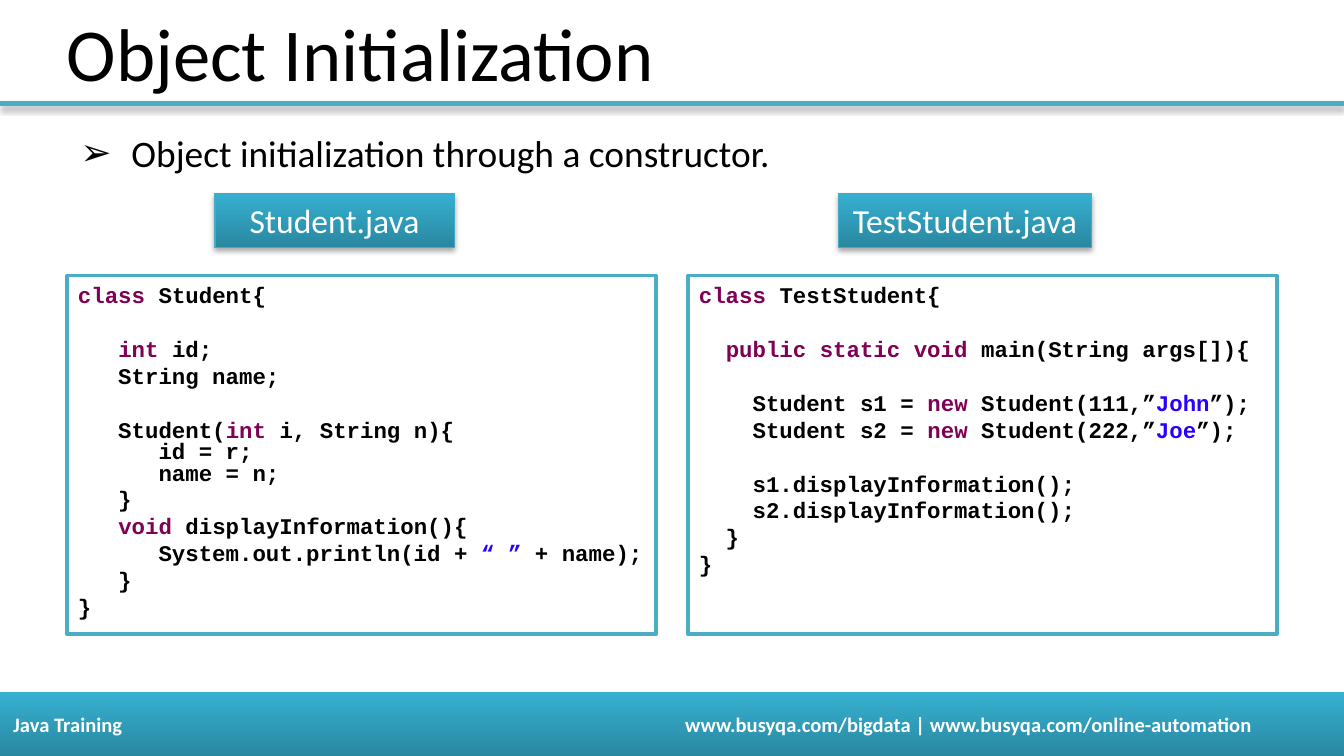
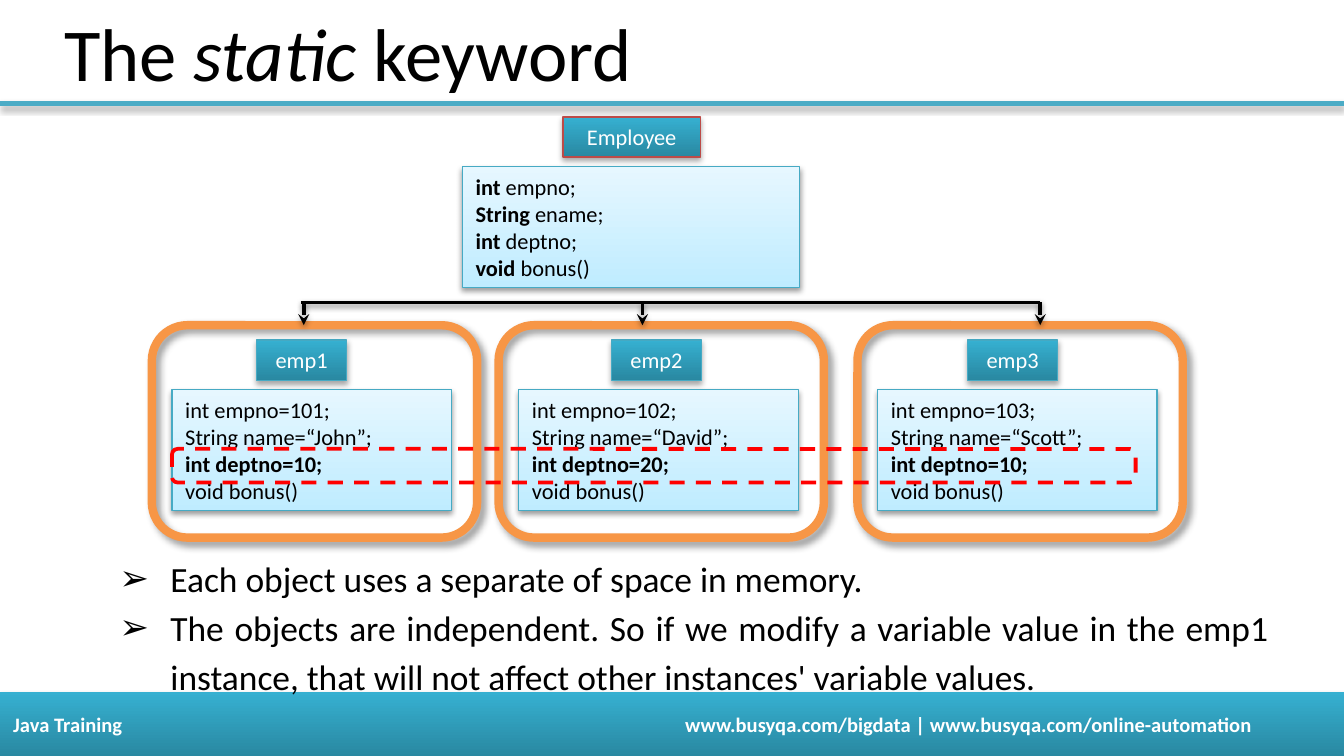
import pptx
import pptx.util
import pptx.dml.color
import pptx.enum.dml
import pptx.enum.shapes
import pptx.enum.text
import pptx.oxml
import pptx.oxml.ns

Inches, Pt = pptx.util.Inches, pptx.util.Pt
SHAPE = pptx.enum.shapes.MSO_SHAPE
STRAIGHT = pptx.enum.shapes.MSO_CONNECTOR.STRAIGHT
ANCHOR = pptx.enum.text.MSO_ANCHOR
ALIGN = pptx.enum.text.PP_ALIGN

# Shared look
SIZE = (10, 10 * 9 / 16)
TEAL, EDGE, BLACK, WHITE = "4BACC6", "46AAC4", "000000", "FFFFFF"
TEAL_GRADIENT = ("2988A1", "36B0D1")
PALE_GRADIENT = ("BFECFF", "E6F7FF")
# Opacity %, blur, distance, direction
SOFT, CARD, FRAME = (35, 3.1, 1.8, 90), (38, 3.1, 1.6, 90), (40, 4, 3, 45)
# A mark switches its format on and off inside a line of text
MARKS = {
    "~": {"color": "7F0055"},
    "^": {"color": "2A00FF"},
    "*": {"bold": True},
    "_": {"italic": True},
}
FOOTER = "Java Training\twww.busyqa.com/bigdata | www.busyqa.com/online-automation"

# Slide 1 content: code in groups, one blank line apart
CODE_TOP, CODE_SIZE = 2.05, (4.38, 2.67)
BLANK_LINE = 14.5
TIGHT = ("      id = r;", "      name = n;")
CLASSES = [
    {
        "file": "Student.java", "label": (1.6, 1.44, 1.78, 0.4), "left": 0.5,
        "code": [
            ["~class~ Student{"],
            ["   ~int~ id;", "   String name;"],
            ["   Student(~int~ i, String n){", *TIGHT, "   }",
             "   ~void~ displayInformation(){",
             "      System.out.println(id + ^“ ”^ + name);", "   }", "}"],
        ],
    },
    {
        "file": "TestStudent.java", "label": (6.24, 1.44, 1.88, 0.4), "left": 5.12,
        "code": [
            ["~class~ TestStudent{"],
            ["  ~public static void~ main(String args[]){"],
            ["    Student s1 = ~new~ Student(111,”^John^”);",
             "    Student s2 = ~new~ Student(222,”^Joe^”);"],
            ["    s1.displayInformation();", "    s2.displayInformation();", "  }", "}"],
        ],
    },
]

# Slide 2 content
EMPLOYEE = ["*int* empno;", "*String* ename;", "*int* deptno;", "*void* bonus()"]
# Name, number, first name, department, left of frame, left of label, arrow x
OBJECTS = [
    ("emp1", 101, "John", 10, 1.13, 1.91, 2.26),
    ("emp2", 102, "David", 20, 3.71, 4.55, 4.78),
    ("emp3", 103, "Scott", 10, 6.38, 7.2, 7.74),
]
BAR_Y, FRAME_TOP = 2.25, 2.42
NOTES = [
    "Each object uses a separate of space in memory.",
    "The objects are independent. So if we modify a variable value in the emp1 "
    "instance, that will not affect other instances' variable values.",
]


def rgb(value):
    return pptx.dml.color.RGBColor.from_string(value)


def add_xml(parent, xml):
    """Append every element of an XML fragment."""
    wrapper = pptx.oxml.parse_xml(f'<a:wrap {pptx.oxml.ns.nsdecls("a")}>{xml}</a:wrap>')
    for el in list(wrapper):
        parent.append(el)


def add_shadow(s, shadow):
    alpha, blur, dist, angle = shadow
    add_xml(s._element.spPr,
            f'<a:effectLst><a:outerShdw blurRad="{Pt(blur)}" dist="{Pt(dist)}" '
            f'dir="{angle * 60000}" rotWithShape="0"><a:srgbClr val="{BLACK}">'
            f'<a:alpha val="{alpha * 1000}"/></a:srgbClr></a:outerShdw></a:effectLst>')


def add_runs(p, text, size, font, color, bold):
    """Split the text at its marks and add one run for each piece."""
    pieces, active = [["", {}]], set()
    for ch in text:
        if ch in MARKS:
            active ^= {ch}
            pieces.append(["", {k: v for m in active for k, v in MARKS[m].items()}])
        else:
            pieces[-1][0] += ch
    for piece, fmt in pieces:
        if piece:
            r = p.add_run()
            r.text = piece
            r.font.size, r.font.name = Pt(size), font
            r.font.bold = fmt.get("bold", bold)
            r.font.italic = fmt.get("italic", False)
            r.font.color.rgb = rgb(fmt.get("color", color))


def write(s, lines, size=12, font="Calibri", color=BLACK, bold=False, align=ALIGN.LEFT,
          anchor=ANCHOR.TOP, inset=(0.1, 0.05), wrap=True, spacing=None, bullet=None, tab=None):
    tf = s.text_frame
    tf.word_wrap, tf.vertical_anchor = wrap, anchor
    tf.margin_left = tf.margin_right = Inches(inset[0])
    tf.margin_top = tf.margin_bottom = Inches(inset[1])
    for i, line in enumerate(lines):
        p = tf.add_paragraph() if i else tf.paragraphs[0]
        p.alignment = align
        if spacing:
            p.line_spacing = spacing
        pPr = p._p.get_or_add_pPr()
        if bullet:
            indent, hanging = bullet
            pPr.set("marL", str(Inches(indent)))
            pPr.set("indent", str(-Inches(hanging)))
            add_xml(pPr, f'<a:buClr><a:srgbClr val="{BLACK}"/></a:buClr>'
                         '<a:buFont typeface="Arial"/><a:buChar char="➢"/>')
        if tab:
            add_xml(pPr, f'<a:tabLst><a:tab pos="{Inches(tab)}" algn="l"/></a:tabLst>')
        add_runs(p, line, size, font, color, bold)
    return tf


def add_box(slide, at, kind=SHAPE.RECTANGLE, fill=None, line=None, width=0.75, shadow=None):
    """A pair of colours as fill makes a gradient from bottom to top."""
    s = slide.shapes.add_shape(kind, *map(Inches, at))
    if fill is None:
        s.fill.background()
    elif isinstance(fill, tuple):
        s.fill.gradient()
        s.fill.gradient_angle = 90
        for stop, color in zip(s.fill.gradient_stops, fill):
            stop.color.rgb = rgb(color)
    else:
        s.fill.solid()
        s.fill.fore_color.rgb = rgb(fill)
    if line:
        s.line.color.rgb = rgb(line)
        s.line.width = Pt(width)
    else:
        s.line.fill.background()
    if shadow:
        add_shadow(s, shadow)
    else:
        s.shadow.inherit = False
    return s


def add_line(slide, start, end, color, width, shadow, arrow=False):
    s = slide.shapes.add_connector(STRAIGHT, *map(Inches, (*start, *end)))
    s.line.color.rgb = rgb(color)
    s.line.width = Pt(width)
    if arrow:
        add_xml(s._element.spPr.find(pptx.oxml.ns.qn("a:ln")), '<a:tailEnd type="stealth"/>')
    add_shadow(s, shadow)


def add_text(slide, at, lines, **fmt):
    return write(slide.shapes.add_textbox(*map(Inches, at)), lines, **fmt)


def add_label(slide, at, text, size=12, line=EDGE):
    s = add_box(slide, at, fill=TEAL_GRADIENT, line=line, shadow=SOFT)
    write(s, [text], size=size, color=WHITE, align=ALIGN.CENTER, wrap=False)


def add_card(slide, at, lines):
    write(add_box(slide, at, fill=PALE_GRADIENT, line=EDGE, shadow=CARD), lines)


def add_base(prs, title, title_at):
    slide = prs.slides.add_slide(prs.slide_layouts[6])
    add_line(slide, (0, 0.77), (SIZE[0], 0.77), TEAL, 3, SOFT)
    band = add_box(slide, (0, 5.15, SIZE[0], 0.48), fill=TEAL_GRADIENT, shadow=SOFT)
    write(band, [FOOTER], size=11, color=WHITE, bold=True, anchor=ANCHOR.MIDDLE, tab=5)
    add_text(slide, title_at, [title], size=40, anchor=ANCHOR.MIDDLE)
    return slide


def build_initialization(prs):
    slide = add_base(prs, "Object Initialization", (0.4, 0.05, 4.91, 0.67))
    add_text(slide, (0.5, 0.92, 9, 3.97), ["Object initialization through a constructor."],
             size=20, bullet=(0.38, 0.39))
    for item in CLASSES:
        add_label(slide, item["label"], item["file"], size=18)
        s = add_box(slide, (item["left"], CODE_TOP, *CODE_SIZE), fill=WHITE, line=TEAL, width=2)
        lines = [line for group in item["code"] for line in group]
        tf = write(s, lines, font="Courier New", bold=True, inset=(0.08, 0.04))
        # Leave one line free before each later group
        first = 0
        for group in item["code"][:-1]:
            first += len(group)
            tf.paragraphs[first].space_before = Pt(BLANK_LINE)
        for p, line in zip(tf.paragraphs, lines):
            if line in TIGHT:
                p.line_spacing = 0.8


def build_static(prs):
    slide = add_base(prs, "The _static_ keyword", (0.38, 0.05, 5.49, 0.67))
    # Class
    add_label(slide, (4.19, 0.87, 1.02, 0.3), "Employee", line="BD4B48")
    add_card(slide, (3.44, 1.24, 2.51, 0.9), EMPLOYEE)
    # Objects, each in its frame
    for name, number, person, dept, left, label_left, arrow_x in OBJECTS:
        add_label(slide, (label_left, 2.53, 0.67, 0.3), name)
        add_card(slide, (left + 0.15, 2.9, 2.08, 0.9),
                 [f"int empno={number};", f"String name=“{person}”;",
                  f"*int deptno={dept};*", "void bonus()"])
        add_box(slide, (left, FRAME_TOP, 2.42, 1.58), SHAPE.ROUNDED_RECTANGLE,
                line="F79646", width=4.5, shadow=FRAME)
        add_line(slide, (arrow_x, BAR_Y), (arrow_x, FRAME_TOP), BLACK, 2, CARD, arrow=True)
    add_line(slide, (2.24, BAR_Y), (7.74, BAR_Y), BLACK, 2, CARD)
    # Department row across the objects
    s = add_box(slide, (1.28, 3.34, 7.17, 0.25), SHAPE.ROUNDED_RECTANGLE, line="FF0000", width=2)
    s.line.dash_style = pptx.enum.dml.MSO_LINE.DASH
    add_text(slide, (0.67, 4.05, 8.87, 1.07), NOTES, size=19, align=ALIGN.JUSTIFY,
             spacing=1.15, bullet=(0.5, 0.38))


def main():
    prs = pptx.Presentation()
    prs.slide_width, prs.slide_height = map(Inches, SIZE)
    build_initialization(prs)
    build_static(prs)
    prs.save("out.pptx")


if __name__ == "__main__":
    main()
